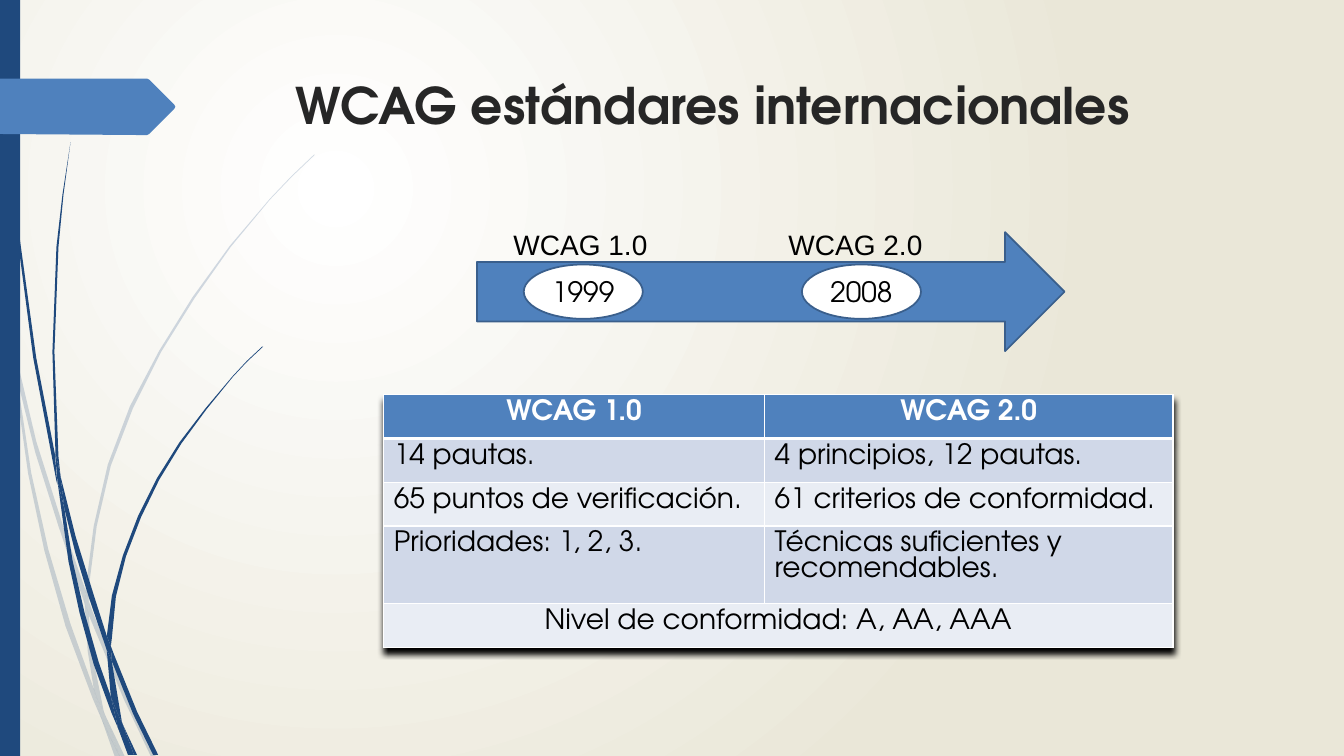
import pptx
import pptx.dml.color
import pptx.enum.shapes
import pptx.enum.text
import pptx.oxml
import pptx.oxml.ns
import pptx.util

Cm = pptx.util.Cm
Pt = pptx.util.Pt
KIND = pptx.enum.shapes.MSO_SHAPE
ALIGN = pptx.enum.text.PP_ALIGN
ANCHOR = pptx.enum.text.MSO_ANCHOR
NS = pptx.oxml.ns.nsdecls("a")
QN = pptx.oxml.ns.qn

FACE = "TeX Gyre Adventor"
NAVY, BLUE, EDGE = "1F497D", "4F81BD", "3A5F8C"
TEXT = {"name": FACE, "size": Pt(20), "bold": False}

# Outlines are corner points on a fine grid of GRID units.
GRID = Cm(2.54) / 100
PALE = [
    [(11, 350), (9, 322), (0, 282), (0, 299), (10, 344)],
    [(58, 522), (84, 599), (85, 586), (62, 520), (36, 438), (14, 345),
     (17, 376), (35, 449)],
    [(92, 607), (88, 596), (88, 610), (123, 694), (150, 751), (155, 751),
     (127, 692)],
    [(119, 751), (124, 751), (105, 711)],
    [(93, 683), (70, 619), (48, 545), (31, 469), (17, 376), (11, 350),
     (28, 470), (44, 546), (65, 621), (92, 693), (101, 714), (99, 707)],
    [(84, 599), (87, 646), (93, 683), (96, 692), (105, 711), (103, 706),
     (91, 646), (88, 610), (88, 608)],
    [(88, 584), (96, 522), (110, 462), (132, 405), (160, 349), (193, 296),
     (229, 245), (268, 198), (290, 175), (312, 154), (312, 153), (289, 175),
     (268, 197), (228, 244), (191, 295), (158, 348), (129, 403), (107, 461),
     (93, 522), (85, 584), (85, 586), (88, 596)],
    [(101, 714), (114, 751), (119, 751)],
    [(88, 608), (88, 610), (88, 596), (85, 586), (84, 599)],
    [(96, 692), (93, 683), (99, 707), (101, 714), (119, 751), (105, 711)],
]
DARK = [
    [(7, 110), (17, 233), (33, 355), (56, 477), (57, 481), (55, 457),
     (55, 453), (36, 355), (19, 232), (8, 109), (5, 48), (4, 0), (3, 0),
     (4, 48)],
    [(88, 592), (106, 645), (106, 633), (106, 631), (93, 590), (75, 532),
     (60, 472), (64, 505), (75, 549)],
    [(113, 649), (110, 641), (111, 656), (132, 708), (152, 749), (157, 749),
     (136, 706)],
    [(110, 691), (98, 657), (84, 608), (72, 556), (64, 505), (57, 477),
     (68, 557), (79, 608), (93, 659), (111, 708), (117, 722), (116, 717)],
    [(60, 472), (58, 453), (54, 349), (58, 245), (63, 193), (70, 141),
     (62, 193), (56, 245), (52, 349), (55, 449)],
    [(133, 749), (136, 749), (122, 719)],
    [(57, 477), (64, 505), (60, 472), (55, 449), (55, 453)],
    [(111, 633), (115, 592), (125, 552), (140, 513), (158, 476), (180, 440),
     (205, 406), (231, 374), (245, 359), (261, 344), (260, 344), (245, 358),
     (231, 373), (204, 405), (178, 439), (156, 474), (137, 512), (122, 551),
     (111, 591), (106, 631), (110, 641)],
    [(117, 722), (127, 749), (131, 749)],
    [(106, 645), (110, 691), (116, 706), (122, 719), (121, 716), (111, 656),
     (109, 651)],
    [(106, 645), (109, 651), (111, 656), (110, 641), (106, 631), (106, 633)],
    [(116, 706), (110, 691), (116, 717), (117, 722), (130, 749), (133, 749),
     (122, 719)],
]
TAG = [(173, 108), (148, 133), (146, 134), (136, 134), (0, 133), (0, 78),
       (136, 78), (146, 78), (148, 79), (173, 104), (174, 106)]


def shade(hue):
    return pptx.dml.color.RGBColor.from_string(hue)


def paint(shape, fill, line=None):
    shape.shadow.inherit = False
    shape.fill.solid()
    shape.fill.fore_color.rgb = shade(fill)
    if line:
        shape.line.color.rgb = shade(line)
        shape.line.width = Pt(1.25)
    else:
        shape.line.fill.background()


def write(frame, text, hue="000000", align=ALIGN.LEFT, **style):
    frame.text = text
    para = frame.paragraphs[0]
    para.alignment = align
    font = para.runs[0].font
    for name, value in {**TEXT, **style}.items():
        setattr(font, name, value)
    font.color.rgb = shade(hue)


def put(slide, kind, box, fill, line=None):
    shape = slide.shapes.add_shape(kind, *map(Cm, box))
    paint(shape, fill, line)
    return shape


def trace(slide, spot, dots, fill, alpha=None):
    """Draw the outline with its grid origin at the spot, in cm."""
    form = slide.shapes.build_freeform(*dots[0], scale=GRID)
    form.add_line_segments(dots[1:], close=True)
    shape = form.convert_to_shape(*map(Cm, spot))
    paint(shape, fill)
    if alpha:
        tone = shape.fill._xPr.find(".//" + QN("a:srgbClr"))
        tone.append(pptx.oxml.parse_xml(f'<a:alpha {NS} val="{alpha}"/>'))


def edge(cell, base):
    """Give the cell white borders, the lower one base points wide."""
    props = cell._tc.get_or_add_tcPr()
    for i, (side, size) in enumerate(
            {"L": 1, "R": 1, "T": 1, "B": base}.items()):
        props.insert(i, pptx.oxml.parse_xml(
            f'<a:ln{side} {NS} w="{Pt(size)}"><a:solidFill>'
            f'<a:srgbClr val="FFFFFF"/></a:solidFill></a:ln{side}>'))


def draw_back(slide):
    fill = slide.background.fill
    fill.gradient()
    for stop, hue in zip(fill.gradient_stops, ("FFFFFF", "EAE7D8")):
        stop.color.rgb = shade(hue)
    lin = slide.element.find(".//" + QN("a:lin"))
    lin.getparent().replace(lin, pptx.oxml.parse_xml(
        f'<a:path {NS} path="circle"><a:fillToRect l="50000" t="50000" '
        'r="100000" b="100000"/></a:path>'))


def draw_side(slide, box):
    """Draw the stems, the edge bar and the page tag."""
    spot = box[:2]
    for dots in PALE:
        trace(slide, spot, dots, NAVY, 20000)
    for dots in DARK:
        trace(slide, spot, dots, NAVY)
    put(slide, KIND.RECTANGLE, box, NAVY)
    trace(slide, spot, TAG, BLUE)


def draw_title(slide, box, text):
    title = slide.shapes.title
    title.left, title.top, title.width, title.height = map(Cm, box)
    title.text_frame.vertical_anchor = ANCHOR.TOP
    write(title.text_frame, text, "262626", size=Pt(36), bold=True)


def draw_time(slide, box, marks):
    x, y, wide, high = box
    put(slide, KIND.RIGHT_ARROW, box, BLUE, EDGE)
    for i, (name, year) in enumerate(marks):
        left = x + 1.18 + 7.01 * i
        dot = put(slide, KIND.FLOWCHART_CONNECTOR,
                  (left, y + (high - 1.37) / 2, 3, 1.37), "FFFFFF", EDGE)
        dot.text_frame.word_wrap = False
        dot.text_frame.vertical_anchor = ANCHOR.MIDDLE
        write(dot.text_frame, year, align=ALIGN.CENTER)
        label = slide.shapes.add_textbox(
            *map(Cm, (x + .67 + 6.93 * i, y - .25, 4, 1.12)))
        label.text_frame.word_wrap = True
        write(label.text_frame, name, name="Arial")


def draw_table(slide, box, rows, last):
    x, y, wide, high = box
    count = len(rows) + 1
    table = slide.shapes.add_table(count, 2, *map(Cm, box)).table
    for col, size in zip(table.columns, (9.6, wide - 9.6)):
        col.width = Cm(size)
    for row in table.rows:
        row.height = Cm(high / count)
    table.cell(count - 1, 0).merge(table.cell(count - 1, 1))
    for i, texts in enumerate([*rows, (last,)]):
        head = i == 0
        for j, text in enumerate(texts):
            cell = table.cell(i, j)
            cell.fill.solid()
            cell.fill.fore_color.rgb = shade(
                BLUE if head else ("E9EDF4", "D0D8E8")[i % 2])
            edge(cell, 3 if head else 1)
            mid = head or len(texts) == 1
            write(cell.text_frame, text, "FFFFFF" if head else "000000",
                  ALIGN.CENTER if mid else ALIGN.LEFT, bold=head)
    table._tbl.tblPr.insert(0, pptx.oxml.parse_xml(
        f'<a:effectLst {NS}><a:outerShdw blurRad="50800" dist="50800" '
        'dir="5400000"><a:srgbClr val="000000"/></a:outerShdw></a:effectLst>'))


def main():
    deck = pptx.Presentation()
    deck.slide_width, deck.slide_height = Cm(33.87), Cm(19.05)
    slide = deck.slides.add_slide(deck.slide_layouts[5])
    draw_back(slide)
    draw_side(slide, (0, 0, .51, 19.05))
    draw_title(slide, (7.2, 1.73, 24.77, 3.56),
               "WCAG estándares internacionales")
    draw_time(slide, (12.02, 5.85, 14.81, 3),
              [("WCAG 1.0", "1999"), ("WCAG 2.0", "2008")])
    draw_table(slide, (9.67, 9.95, 19.89, 5.2), [
        ("WCAG 1.0", "WCAG 2.0"),
        ("14 pautas.", "4 principios, 12 pautas."),
        ("65 puntos de verificación.", "61 criterios de conformidad."),
        ("Prioridades: 1, 2, 3.", "Técnicas suficientes y recomendables."),
    ], "Nivel de conformidad: A, AA, AAA")
    deck.save("out.pptx")


if __name__ == "__main__":
    main()
